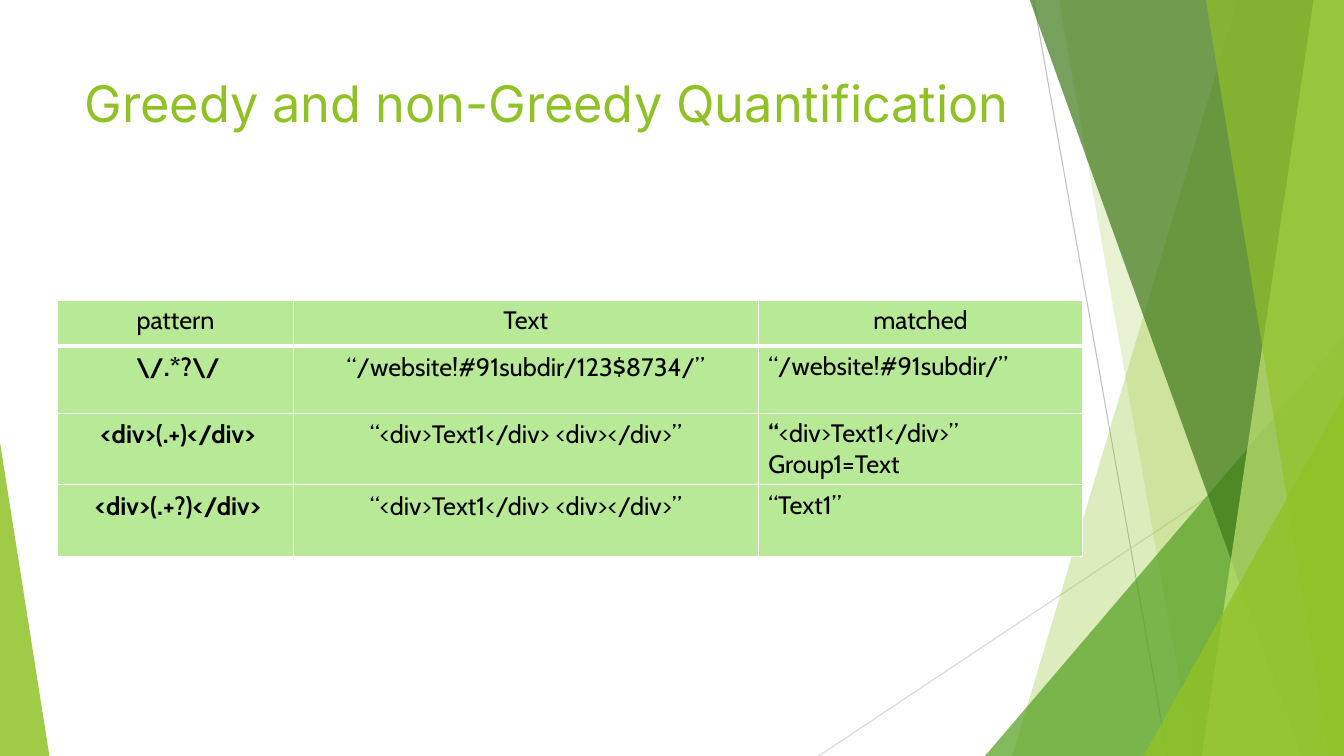
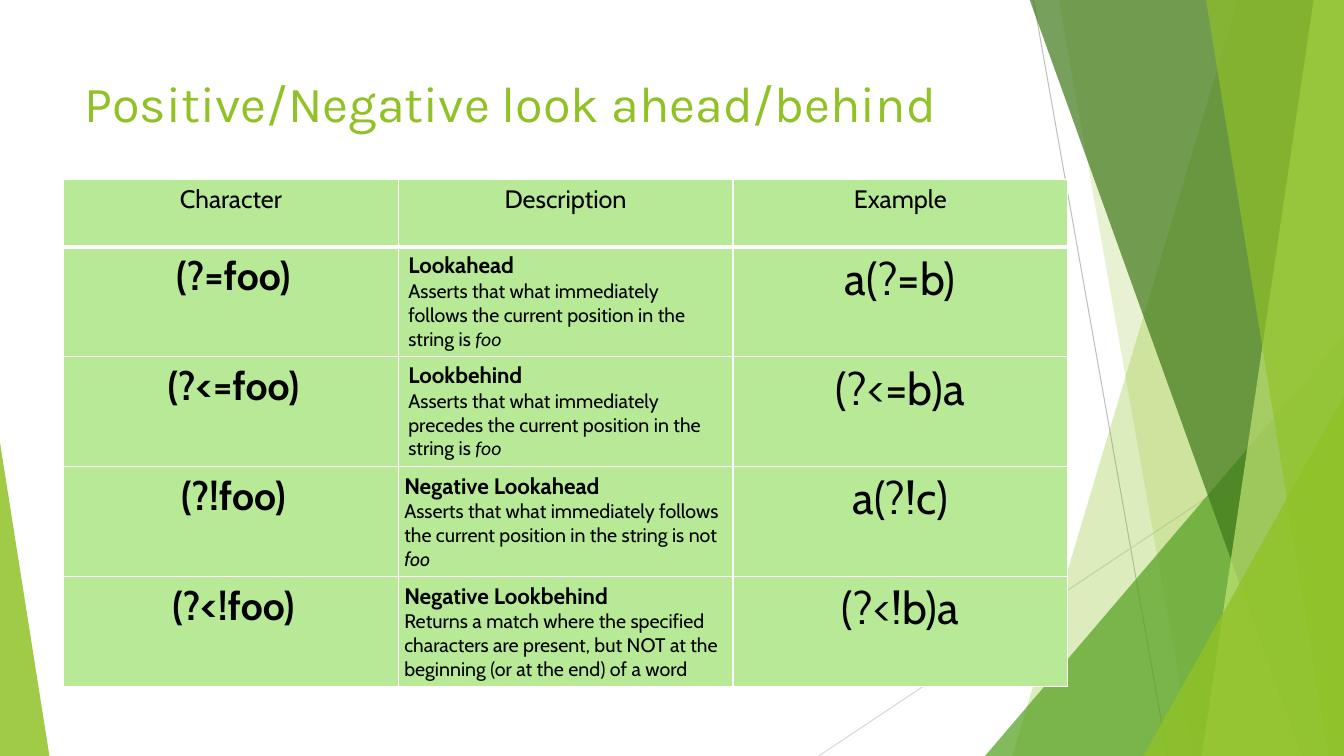
import pptx
import pptx.util
import pptx.dml.color
import pptx.enum.shapes
import pptx.enum.text
import pptx.oxml.ns
import lxml.etree

PX = 9144
WIDTH, HEIGHT = 1333, 750
COLORS = {
    "green": "90C226",
    "leaf": "54A021",
    "forest": "3F7819",
    "lime": "C0E474",
    "cell": "B7E996",
    "border": "FFFFFF",
    "text": "000000",
    "line_dark": "BFBFBF",
    "line_light": "D9D9D9",
}
BODY_FONT = "Cabin"
CENTER = pptx.enum.text.PP_ALIGN.CENTER
LEFT = pptx.enum.text.PP_ALIGN.LEFT
MIDDLE = pptx.enum.text.MSO_ANCHOR.MIDDLE
TOP = pptx.enum.text.MSO_ANCHOR.TOP
PLAIN_INSETS = (10, 5, 10, 5)
TIGHT_INSETS = (6, 6, 6, 6)
KEY_INSETS = (11, 6, 6, 6)


def px(n):
    return pptx.util.Emu(n * PX)


def rgb(name):
    return pptx.dml.color.RGBColor.from_string(COLORS[name])


def sub(parent, tag, **attrs):
    return lxml.etree.SubElement(parent, pptx.oxml.ns.qn(tag), attrs)


def paint(s, color, alpha):
    s.shadow.inherit = False
    s.fill.solid()
    s.fill.fore_color.rgb = rgb(color)
    s.line.fill.background()
    clr = s._element.spPr.find(".//" + pptx.oxml.ns.qn("a:srgbClr"))
    sub(clr, "a:alpha", val=str(alpha * 1000))


def add_line(slide, x1, y1, x2, y2, color):
    s = slide.shapes.add_connector(
        pptx.enum.shapes.MSO_CONNECTOR.STRAIGHT, px(x1), px(y1), px(x2), px(y2))
    s.line.color.rgb = rgb(color)
    s.line.width = pptx.util.Pt(0.75)
    sub(s._element.spPr, "a:effectLst")


def add_band(slide, top_x, bottom_x, color, alpha):
    points = [(top_x, -1), (WIDTH, -1), (WIDTH, HEIGHT), (bottom_x, HEIGHT)]
    corners = [(px(x), px(y)) for x, y in points]
    fb = slide.shapes.build_freeform(*corners[0], scale=1.0)
    fb.add_line_segments(corners[1:], close=True)
    paint(fb.convert_to_shape(), color, alpha)


def add_triangle(slide, x, y, w, apex, color, alpha):
    s = slide.shapes.add_shape(
        pptx.enum.shapes.MSO_SHAPE.ISOSCELES_TRIANGLE,
        px(x), px(y), px(w), px(HEIGHT - y))
    s.adjustments[0] = apex
    paint(s, color, alpha)


def add_backdrop(slide):
    add_line(slide, 1025, 0, 1158, HEIGHT, "line_dark")
    add_line(slide, WIDTH, 403, 812, HEIGHT, "line_light")
    add_band(slide, 1228, 1004, "green", 30)
    add_band(slide, 1050, 1183, "green", 20)
    add_triangle(slide, 977, 333, 356, 1, "leaf", 72)
    add_band(slide, 1021, 1291, "forest", 70)
    add_band(slide, 1303, 1192, "lime", 70)
    add_band(slide, 1196, 1318, "green", 65)
    add_triangle(slide, 1134, 393, 199, 1, "green", 80)
    add_triangle(slide, 0, 439, 49, 0, "green", 85)


def style_run(r, size, font=BODY_FONT, color="text", bold=False, italic=False):
    r.font.size = pptx.util.Pt(size)
    r.font.name = font
    r.font.color.rgb = rgb(color)
    r.font.bold = bold
    r.font.italic = italic


def add_title(slide, text, font):
    tf = slide.shapes.add_textbox(px(74), px(67), px(940), px(83)).text_frame
    tf.word_wrap = True
    tf.text = text
    style_run(tf.paragraphs[0].runs[0], 36, font, "green")


def add_slide(prs, title, font):
    slide = prs.slides.add_slide(prs.slide_layouts[6])
    add_backdrop(slide)
    add_title(slide, title, font)
    return slide


def run(text, size=18, **style):
    return text, dict(style, size=size)


def cell(*paragraphs, align=LEFT, insets=PLAIN_INSETS, anchor=TOP):
    return paragraphs, align, insets, anchor


def header(text):
    return cell([run(text)], align=CENTER)


def key(text, size=18):
    return cell([run(text, size, bold=True)], align=CENTER, insets=KEY_INSETS)


def sample(text):
    return cell([run(text)], align=CENTER, insets=TIGHT_INSETS)


def example(text):
    return cell([run(text, 32)], align=CENTER)


def description(name, text, *tail, **layout):
    return cell([run(name, 16, bold=True)], [run(text, 14), *tail], **layout)


def set_border(c, side, points):
    ln = sub(c._tc.get_or_add_tcPr(), "a:ln" + side, w=str(points * 12700))
    sub(sub(ln, "a:solidFill"), "a:srgbClr", val=COLORS["border"])


def fill_cell(c, content, is_header):
    paragraphs, align, insets, anchor = content
    set_border(c, "L", 1)
    set_border(c, "R", 1)
    if is_header:
        set_border(c, "T", 1)
    set_border(c, "B", 3 if is_header else 1)
    c.fill.solid()
    c.fill.fore_color.rgb = rgb("cell")
    c.margin_left, c.margin_top, c.margin_right, c.margin_bottom = map(px, insets)
    c.vertical_anchor = anchor
    tf = c.text_frame
    for i, runs in enumerate(paragraphs):
        p = tf.add_paragraph() if i else tf.paragraphs[0]
        p.alignment = align
        for text, style in runs:
            r = p.add_run()
            r.text = text
            style_run(r, **style)


def add_grid(slide, x, y, widths, heights, rows):
    table = slide.shapes.add_table(
        len(rows), len(widths), px(x), px(y),
        px(sum(widths)), px(sum(heights))).table
    table.horz_banding = False
    for column, w in zip(table.columns, widths):
        column.width = px(w)
    for i, (row, h) in enumerate(zip(rows, heights)):
        table.rows[i].height = px(h)
        for j, content in enumerate(row):
            fill_cell(table.cell(i, j), content, i == 0)


def build_greedy(prs):
    slide = add_slide(prs, "Greedy and non-Greedy Quantification", "Inter")
    divs = "“<div>Text1</div> <div></div>”"
    add_grid(slide, 57, 298, [234, 461, 322], [45, 67, 71, 71], [
        [header("pattern"), header("Text"), header("matched")],
        [key("\\/.*?\\/"), sample("“/website!#91subdir/123$8734/”"),
         cell([run("“/website!#91subdir/”")])],
        [key("<div>(.+)</div>"), sample(divs),
         cell([run("“", bold=True), run("<div>Text1</div>”")],
              [run("Group1=Text")])],
        [key("<div>(.+?)</div>"), sample(divs), cell([run("“Text1”")])],
    ])


def build_lookaround(prs):
    slide = add_slide(prs, "Positive/Negative look ahead/behind", "Karla")
    foo = run("foo", 14, font="Calibri", italic=True)
    asserts = "Asserts that what immediately {} the current position in the string is "
    add_grid(slide, 63, 178, [332] * 3, [67] + [109] * 4, [
        [header("Character"), header("Description"), header("Example")],
        [key("(?=foo)", 28),
         description("Lookahead", asserts.format("follows"), foo, anchor=MIDDLE),
         example("a(?=b)")],
        [key("(?<=foo)", 28),
         description("Lookbehind", asserts.format("precedes"), foo, anchor=MIDDLE),
         example("(?<=b)a")],
        [key("(?!foo)", 28),
         description("Negative Lookahead", asserts.format("follows") + "not ",
                     run("foo", 14, italic=True), insets=TIGHT_INSETS),
         example("a(?!c)")],
        [key("(?<!foo)", 28),
         description("Negative Lookbehind",
                     "Returns a match where the specified characters are present, "
                     "but NOT at the beginning (or at the end) of a word",
                     insets=TIGHT_INSETS),
         example("(?<!b)a")],
    ])


def main():
    prs = pptx.Presentation()
    prs.slide_width, prs.slide_height = px(WIDTH), px(HEIGHT)
    build_greedy(prs)
    build_lookaround(prs)
    prs.save("out.pptx")


if __name__ == "__main__":
    main()
